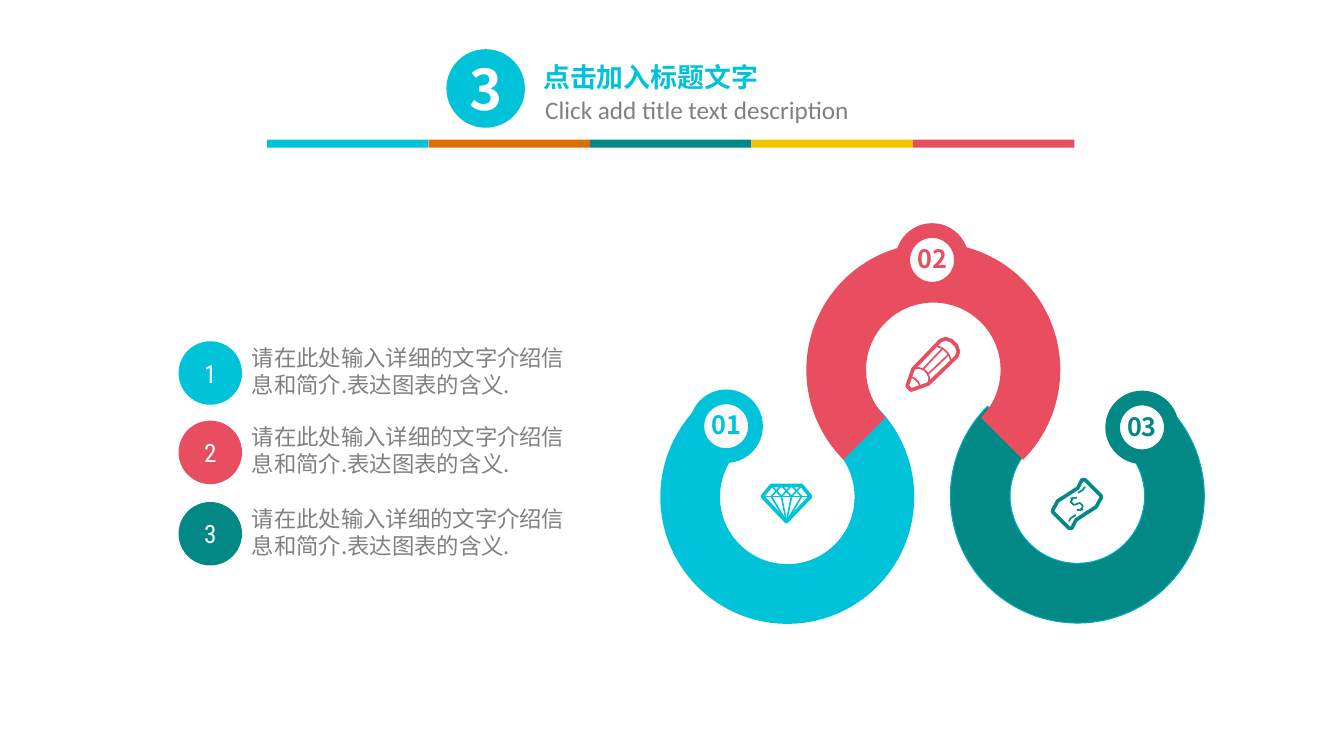
from math import sqrt

from lxml.etree import SubElement
from pptx import Presentation
from pptx.dml.color import RGBColor
from pptx.enum.shapes import MSO_SHAPE
from pptx.enum.text import MSO_ANCHOR, MSO_AUTO_SIZE, PP_ALIGN
from pptx.oxml.ns import qn
from pptx.util import Cm, Pt

COLORS = {
    "cyan": "00C3D9", "orange": "DE6E00", "teal": "028985", "yellow": "F3C301",
    "red": "E94E60", "edge": "01ACBE", "gray": "808080", "white": "FFFFFF",
    "pale": "F9F9F9",
}
CJK = "Noto Sans CJK SC"
DESCRIPTION = "请在此处输入详细的文字介绍信息和简介.表达图表的含义."
BAR_LEFT, BAR_WIDTH = 6.73, 4.07
RING_SIZE, RING_BAND = 6.4, 0.235
BADGE_SIZE = 1.48
LABEL_WIDTH, LABEL_HEIGHT = 1.78, 1.02
ICON_UNIT = Cm(2.54) / 100
OUTLINE_WIDTH, DETAIL_WIDTH = 2.6, 1.2


def rgb(color):
    return RGBColor.from_string(COLORS[color])


def set_line(shape, color, width):
    shape.line.color.rgb = rgb(color)
    shape.line.width = Pt(width)


def add_figure(slide, kind, left, top, width, height, fill):
    shape = slide.shapes.add_shape(kind, Cm(left), Cm(top), Cm(width), Cm(height))
    shape.shadow.inherit = False
    shape.fill.solid()
    shape.fill.fore_color.rgb = rgb(fill)
    shape.line.fill.background()
    return shape


def write(shape, text, size, color, face=CJK, bold=False, align=PP_ALIGN.LEFT):
    """Fill a shape with one paragraph, naming the face for Latin and Chinese letters."""
    shape.text_frame.word_wrap = True
    para = shape.text_frame.paragraphs[0]
    para.text = text
    para.alignment = align
    font = para.font
    font.size, font.bold, font.name = Pt(size), bold, face
    font.color.rgb = rgb(color)
    properties = para._p.pPr.find(qn("a:defRPr"))
    SubElement(properties, qn("a:ea"), typeface=face)
    return properties


def add_label(slide, left, top, width, height, text, size, color, **style):
    box = slide.shapes.add_textbox(Cm(left), Cm(top), Cm(width), Cm(height))
    write(box, text, size, color, **style)


def add_disc(slide, left, top, diameter, color, number, size, face, bold=False):
    disc = add_figure(slide, MSO_SHAPE.OVAL, left, top, diameter, diameter, color)
    frame = disc.text_frame
    frame.margin_left = frame.margin_right = 0
    frame.vertical_anchor = MSO_ANCHOR.MIDDLE
    write(disc, number, size, "white", face, bold, PP_ALIGN.CENTER)


def add_title(slide, text):
    title = slide.shapes.title
    title.left, title.top, title.width, title.height = Cm(13.49), Cm(1.27), Cm(7.32), Cm(1.22)
    frame = title.text_frame
    frame.margin_left = frame.margin_right = Cm(0.2)
    frame.margin_top = frame.margin_bottom = Cm(0.1)
    frame.vertical_anchor = MSO_ANCHOR.TOP
    frame.auto_size = MSO_AUTO_SIZE.SHAPE_TO_FIT_TEXT
    write(title, text, 24, "cyan", bold=True).set("cap", "small")


def add_color_bar(slide, colors):
    for index, color in enumerate(colors):
        add_figure(slide, MSO_SHAPE.RECTANGLE, BAR_LEFT + BAR_WIDTH * index, 3.52,
                   BAR_WIDTH, 0.2, color)


def add_ring(slide, center_x, center_y, rotation, color):
    """Draw three quarters of a ring; the rotation turns its opening."""
    ring = add_figure(slide, MSO_SHAPE.BLOCK_ARC, center_x - RING_SIZE / 2,
                      center_y - RING_SIZE / 2, RING_SIZE, RING_SIZE, color)
    start_angle = 90 * 60000 / 100000
    for index, value in enumerate((start_angle, 0, RING_BAND)):
        ring.adjustments[index] = value
    ring.rotation = rotation
    return ring


def add_badge(slide, center_x, center_y, number, color, fill):
    badge = add_figure(slide, MSO_SHAPE.OVAL, center_x - BADGE_SIZE / 2,
                       center_y - BADGE_SIZE / 2, BADGE_SIZE, BADGE_SIZE, fill)
    badge.rotation = 45
    set_line(badge, color, 10.5)
    add_label(slide, center_x - LABEL_WIDTH / 2, center_y - LABEL_HEIGHT / 2 - 0.03,
              LABEL_WIDTH, LABEL_HEIGHT, number, 18, color,
              bold=True, align=PP_ALIGN.CENTER)


def mirror(points):
    """Continue a line with its reflection across the horizontal axis."""
    return points + [(x, -y) for x, y in reversed(points)]


def half_turn(points):
    return [(-x, -y) for x, y in points]


def tilt(points):
    """Turn points by 45 degrees so that the x axis runs up to the right."""
    return [((x + y) / sqrt(2), (y - x) / sqrt(2)) for x, y in points]


def diamond_lines():
    top, girdle, tip = -18, -7, 18
    crown_xs = (-15, -5, 5, 15)
    outline = [(-15, top), (15, top), (24, girdle), (0, tip), (-24, girdle)]
    zigzag = [(x, (top, girdle)[index % 2]) for index, x in enumerate(crown_xs)]
    facets = [[(x, girdle), (0, tip)] for x in crown_xs]
    return outline, [[(-24, girdle), (24, girdle)], zigzag,
                     [(-x, y) for x, y in zigzag], *facets]


def pencil_lines():
    """Lay the pencil along the x axis, tip at the left, then tilt it."""
    outline = mirror([(-31, -3), (-15, -11), (24, -11), (29, -9), (32, -4)])
    lead = mirror([(-22, -6), (-20, -2)])
    sharpened_edge = mirror([(-15, -11), (-10, -7), (-8, -2)])
    eraser_edge = mirror([(17, -11), (20, -6), (21, -2)])
    ridges = [[(-9, y), (20, y)] for y in (-4, 4)]
    details = [lead, sharpened_edge, eraser_edge, *ridges]
    return tilt(outline), [tilt(line) for line in details]


def banknote_lines():
    """Describe one half of the note; the other half is its half turn."""
    half_outline = [(24, -8), (8, -24), (5, -24), (1, -16), (-8, -10), (-19, -3), (-24, 6)]
    half_dollar = [(0, -6), (-4, -6), (-6, -2), (-3, 1), (0, 0)]
    dollar = half_dollar + half_turn(half_dollar)[::-1]
    marks = [[(-6, -6), (-4, -4)], [(-8, 17), (-6, 14), (-1, 11)]]
    return (half_outline + half_turn(half_outline),
            [dollar, *marks, *map(half_turn, marks)])


def add_lines(slide, center_x, center_y, lines, color, width, close):
    builder = slide.shapes.build_freeform(*lines[0][0], scale=ICON_UNIT)
    for line in lines:
        builder.move_to(*line[0])
        builder.add_line_segments(line[1:], close=close)
    drawing = builder.convert_to_shape(Cm(center_x), Cm(center_y))
    drawing.shadow.inherit = False
    drawing.fill.background()
    set_line(drawing, color, width)


def add_icon(slide, center_x, center_y, icon_lines, color):
    outline, details = icon_lines
    add_lines(slide, center_x, center_y, [outline], color, OUTLINE_WIDTH, True)
    add_lines(slide, center_x, center_y, details, color, DETAIL_WIDTH, False)


def add_list_item(slide, top, number, color):
    add_disc(slide, 4.5, top, 1.6, color, number, 18, "Roboto Condensed")
    add_label(slide, 6.1, top - 0.05, 8.74, 2.2, DESCRIPTION, 16, "gray")


def main():
    deck = Presentation()
    deck.slide_width, deck.slide_height = Cm(33.87), Cm(19.05)
    slide = deck.slides.add_slide(deck.slide_layouts[5])

    add_disc(slide, 11.25, 1.24, 1.98, "cyan", "3", 40, CJK, bold=True)
    add_title(slide, "点击加入标题文字")
    add_label(slide, 13.49, 2.26, 8.53, 1.02, "Click add title text description",
              18, "gray", face="Calibri")
    add_color_bar(slide, ("cyan", "orange", "teal", "yellow", "red"))

    add_ring(slide, 19.84, 12.52, 225, "cyan")
    teal_ring = add_ring(slide, 27.15, 12.5, 225, "teal")
    set_line(teal_ring, "edge", 0.75)
    add_ring(slide, 23.52, 9.32, 45, "red")

    add_badge(slide, 18.3, 10.74, "01", "cyan", "pale")
    add_badge(slide, 23.49, 6.55, "02", "red", "white")
    add_badge(slide, 28.78, 10.77, "03", "teal", "white")

    add_icon(slide, 19.82, 12.69, diamond_lines(), "cyan")
    add_icon(slide, 23.47, 9.22, pencil_lines(), "red")
    add_icon(slide, 27.14, 12.7, banknote_lines(), "teal")

    for top, number, color in ((8.6, "1", "cyan"), (10.6, "2", "red"), (12.65, "3", "teal")):
        add_list_item(slide, top, number, color)

    deck.save("out.pptx")


if __name__ == "__main__":
    main()
